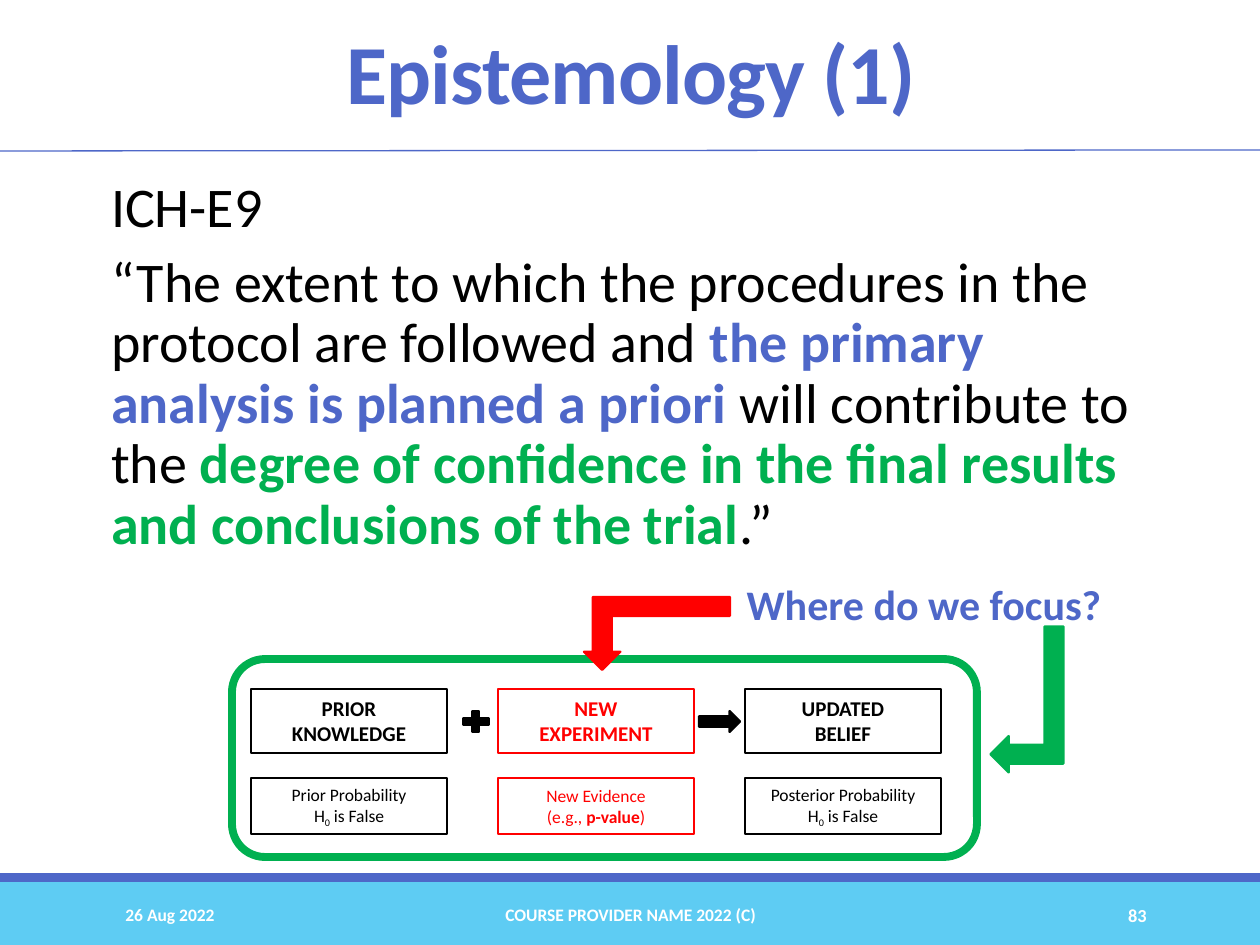
"""Build the Epistemology (1) slide: a quotation above a diagram of belief updating."""
from lxml.etree import SubElement
from pptx import Presentation
from pptx.dml.color import RGBColor
from pptx.enum.shapes import MSO_CONNECTOR, MSO_SHAPE
from pptx.enum.text import MSO_ANCHOR as ANCHOR, MSO_AUTO_SIZE as FIT, PP_ALIGN as ALIGN
from pptx.oxml.ns import qn
from pptx.util import Pt

PX = 914400 / 126
COLORS = {"blue": "4E67C8", "sky": "5ECCF3", "green": "00B050", "red": "FF0000",
          "black": "000000", "white": "FFFFFF"}


def draw(shapes, preset, box, fill=None, line=None, weight=1.25):
    shape = shapes.add_shape(preset, *[round(n * PX) for n in box])
    shape.shadow.inherit = False
    if fill:
        shape.fill.solid()
        shape.fill.fore_color.rgb = RGBColor.from_string(COLORS[fill])
    else:
        shape.fill.background()
    if line:
        shape.line.color.rgb = RGBColor.from_string(COLORS[line])
        shape.line.width = Pt(weight)
    else:
        shape.line.fill.background()
    return shape


def write(shape, paragraphs, size, color, bold=False, align=ALIGN.CENTER, anchor=ANCHOR.MIDDLE):
    frame = shape.text_frame
    frame.word_wrap = True
    frame.vertical_anchor = anchor
    for i, pieces in enumerate(paragraphs):
        paragraph = frame.add_paragraph() if i else frame.paragraphs[0]
        paragraph.alignment = align
        paragraph.font.name = "Calibri"
        paragraph.font.size = Pt(size)
        paragraph.font.bold = bold
        paragraph.font.color.rgb = RGBColor.from_string(COLORS[color])
        for piece in [pieces] if isinstance(pieces, str) else pieces:
            words, accent = (piece, None) if isinstance(piece, str) else piece
            run = paragraph.add_run()
            run.text = words
            if accent == "sub":
                run.font._element.set("baseline", "-25000")
            elif accent:
                run.font.bold = True
                run.font.color.rgb = RGBColor.from_string(COLORS[accent])
    return frame


prs = Presentation()
prs.slide_width, prs.slide_height = round(1260 * PX), round(945 * PX)
slide = prs.slides.add_slide(prs.slide_layouts[6])
shapes = slide.shapes

draw(shapes, MSO_SHAPE.RECTANGLE, (0, 882, 1260, 63), "sky")
draw(shapes, MSO_SHAPE.RECTANGLE, (0, 873, 1260, 9), "blue")
rule = shapes.add_connector(MSO_CONNECTOR.STRAIGHT, 0, round(151 * PX), round(1260 * PX), round(150 * PX))
rule.line.color.rgb = RGBColor.from_string(COLORS["blue"])
rule.line.width = Pt(0.75)
SubElement(rule._element.spPr, qn("a:effectLst"))

quotation = write(
    shapes.add_textbox(*[round(n * PX) for n in (111, 173, 1040, 416)]),
    ["ICH-E9",
     ["“The extent to which the procedures in the protocol are followed and ",
      ("the primary analysis is planned a priori ", "blue"),
      "will contribute to the ",
      ("degree of confidence in the final results and conclusions of the trial", "green"),
      ".”"]],
    32, "black", align=ALIGN.LEFT, anchor=ANCHOR.TOP)
quotation.margin_left = quotation.margin_right = 0
for paragraph in quotation.paragraphs:
    paragraph.line_spacing = 0.9
    paragraph.space_before, paragraph.space_after = Pt(6), Pt(2)

for words, left, width, size, align in [
        ("26 Aug 2022", 113, 256, 10, ALIGN.LEFT),
        ("COURSE PROVIDER NAME 2022 (C)", 381, 499, 10, ALIGN.CENTER),
        ("83", 1023, 136, 10.5, ALIGN.RIGHT)]:
    footer = shapes.add_textbox(*[round(n * PX) for n in (left, 890, width, 50)])
    write(footer, [words], size, "white", True, align)

title = write(shapes.add_textbox(*[round(n * PX) for n in (111, 20, 1040, 108)]),
              ["Epistemology (1)"], 48, "blue", True, anchor=ANCHOR.BOTTOM)
title.paragraphs[0].line_spacing = 0.85
title.paragraphs[0].runs[0].font._element.set("spc", "-50")

diagram = shapes.add_group_shape().shapes
hypothesis = ["H", ("0", "sub"), " is False"]
stages = [
    ("black", ["PRIOR KNOWLEDGE"], ["Prior Probability", hypothesis]),
    ("red", ["NEW", "EXPERIMENT"], ["New Evidence", ["(e.g., ", ("p-value", "red"), ")"]]),
    ("black", ["UPDATED", "BELIEF"], ["Posterior Probability", hypothesis]),
]
for i, (color, heading, detail) in enumerate(stages):
    for words, top, height, size, bold in [(heading, 689, 64, 12, True), (detail, 778, 56, 10, False)]:
        stage = draw(diagram, MSO_SHAPE.RECTANGLE, (251 + 247 * i, top, 196, height), line=color, weight=0.75)
        write(stage, words, size, color, bold).auto_size = FIT.SHAPE_TO_FIT_TEXT
draw(diagram, MSO_SHAPE.MATH_PLUS, (459, 707, 34, 29), "black", "black")
draw(diagram, MSO_SHAPE.RIGHT_ARROW, (699, 711, 41, 21), "black", "black")
draw(diagram, MSO_SHAPE.ROUNDED_RECTANGLE, (232, 659, 745, 198), line="green", weight=4.5)

question = write(shapes.add_textbox(*[round(n * PX) for n in (720, 572, 408, 63)]),
                 ["Where do we focus?"], 24, "blue", True, anchor=ANCHOR.TOP)
question.auto_size = FIT.SHAPE_TO_FIT_TEXT

for color, left, top, rotation, flips in [("green", 954, 663, 270, ["flipH"]),
                                          ("red", 584, 597, 0, ["flipH", "flipV"])]:
    pointer = draw(shapes, MSO_SHAPE.BENT_UP_ARROW, (left, top, 146, 73), color, color)
    pointer.adjustments[0] = 0.26
    pointer.rotation = rotation
    for flip in flips:
        pointer._element.spPr.xfrm.set(flip, "1")

prs.save("out.pptx")
